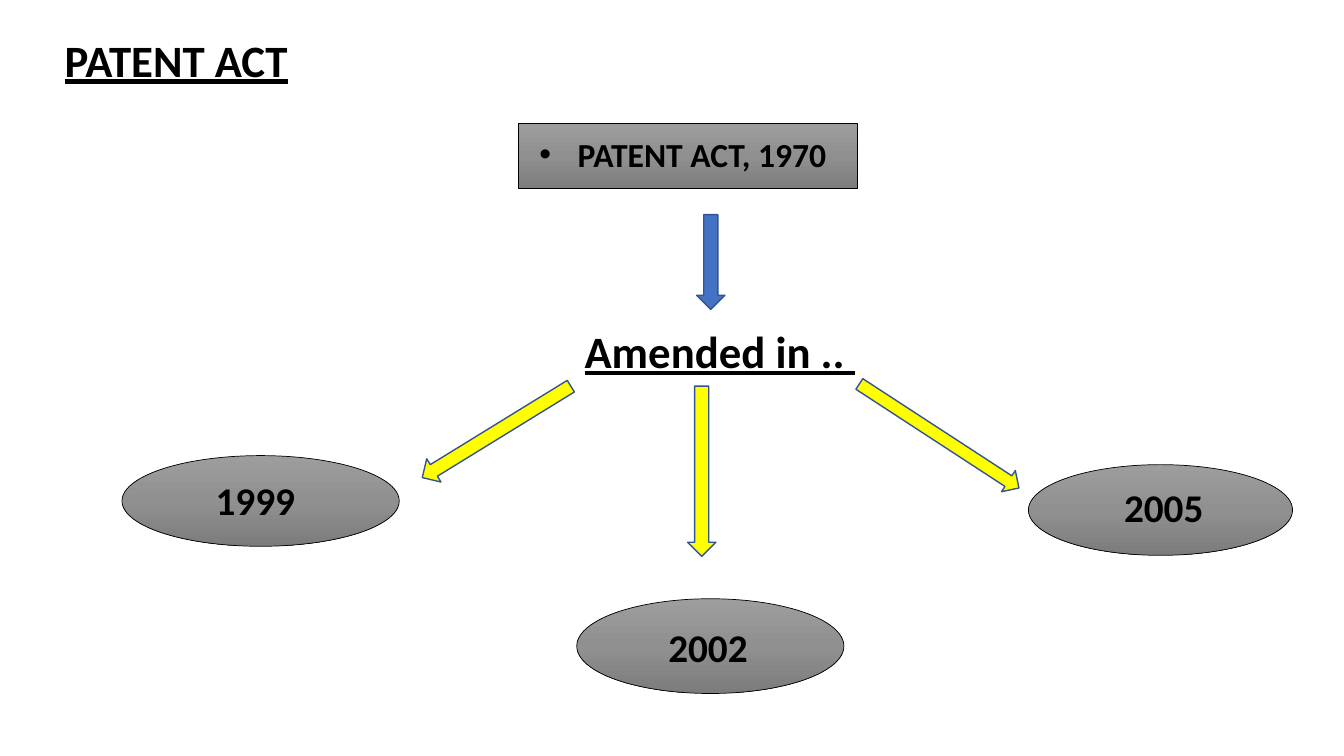
from dataclasses import dataclass

from lxml.etree import SubElement
from pptx import Presentation
from pptx.dml.color import RGBColor
from pptx.enum.shapes import MSO_SHAPE
from pptx.enum.text import MSO_ANCHOR, MSO_AUTO_SIZE, PP_ALIGN
from pptx.oxml.ns import qn
from pptx.util import Emu, Pt

EMU_PER_PX = 9144  # 100 px to the inch


@dataclass(frozen=True)
class Theme:
    font: str = "Calibri"
    ink: str = "000000"
    blue: str = "4472C4"
    yellow: str = "FFFF00"
    arrow_line: str = "325491"
    grays: tuple = (("9D9D9D", 0), ("909090", 50), ("7C7C7C", 100))
    heading_size: int = 32
    year_size: int = 28
    act_size: int = 24


THEME = Theme()


def px(length):
    return Emu(length * EMU_PER_PX)


def color(value):
    return RGBColor.from_string(value)


def write_text(shape, text, size, underline=False):
    """Put one bold, left-aligned line at the top of a shape."""
    frame = shape.text_frame
    frame.text = text
    frame.word_wrap = True
    frame.auto_size = MSO_AUTO_SIZE.NONE
    frame.vertical_anchor = MSO_ANCHOR.TOP
    paragraph = frame.paragraphs[0]
    paragraph.alignment = PP_ALIGN.LEFT
    paragraph.space_before = Pt(0)
    font = paragraph.runs[0].font
    font.name, font.size, font.bold = THEME.font, Pt(size), True
    font.underline = underline
    font.color.rgb = color(THEME.ink)
    return paragraph


def fill_placeholder(shape, box, text, size, underline=False):
    shape.left, shape.top, shape.width, shape.height = map(px, box)
    return write_text(shape, text, size, underline)


def add_label(slide, box, text, size, underline=False):
    label = slide.shapes.add_textbox(*map(px, box))
    write_text(label, text, size, underline)


def add_bullet(paragraph, indent):
    properties = paragraph._p.get_or_add_pPr()
    properties.set("marL", str(px(indent)))
    properties.set("indent", str(px(-indent)))
    SubElement(properties, qn("a:buFont"), typeface="Arial")
    SubElement(properties, qn("a:buChar"), char="•")


def add_outlined(slide, kind, box, line_color, line_width):
    shape = slide.shapes.add_shape(kind, *map(px, box))
    shape.shadow.inherit = False
    shape.line.color.rgb = color(line_color)
    shape.line.width = Pt(line_width)
    return shape


def add_gray_shape(slide, kind, box):
    shape = add_outlined(slide, kind, box, THEME.ink, 0.5)
    shape.fill.gradient()
    shape.fill.gradient_angle = 270  # top to bottom
    stops = shape.fill._fill._gradFill.find(qn("a:gsLst"))
    for stop in list(stops):
        stops.remove(stop)
    for gray, percent in THEME.grays:
        stop = SubElement(stops, qn("a:gs"), pos=str(percent * 1000))
        SubElement(stop, qn("a:srgbClr"), val=gray)
    return shape


def add_down_arrow(slide, box, fill_color, rotation=0):
    arrow = add_outlined(slide, MSO_SHAPE.DOWN_ARROW, box, THEME.arrow_line, 1)
    arrow.fill.solid()
    arrow.fill.fore_color.rgb = color(fill_color)
    arrow.rotation = rotation


def main():
    presentation = Presentation()
    presentation.slide_width, presentation.slide_height = px(1333), px(750)
    slide = presentation.slides.add_slide(presentation.slide_layouts[1])

    # Title
    fill_placeholder(slide.shapes.title, (54, 27, 1036, 65), "PATENT ACT",
                     THEME.heading_size, underline=True)

    # The act, with its text in front of the box
    act_box = add_gray_shape(slide, MSO_SHAPE.RECTANGLE, (514, 122, 336, 65))
    act = slide.placeholders[1]
    add_bullet(fill_placeholder(act, (525, 128, 336, 81), "PATENT ACT, 1970",
                                THEME.act_size), 38)
    act_box.element.addnext(act.element)

    # Amendment heading
    add_down_arrow(slide, (691, 213, 28, 94), THEME.blue)
    add_label(slide, (570, 316, 395, 64), "Amended in .. ",
              THEME.heading_size, underline=True)

    # Amendment years: ellipse, label box, arrow box, arrow rotation
    amendments = (
        ("1999", (121, 452, 275, 90), (204, 468, 115, 57), (479, 342, 27, 173), 58.4),
        ("2002", (572, 594, 265, 94), (653, 613, 177, 57), (682, 383, 28, 169), 0),
        ("2005", (1020, 461, 262, 90), (1105, 475, 161, 57), (919, 338, 25, 189), 303.1),
    )
    for year, ellipse, label, arrow, rotation in amendments:
        add_gray_shape(slide, MSO_SHAPE.OVAL, ellipse)
        add_down_arrow(slide, arrow, THEME.yellow, rotation)
        add_label(slide, label, year, THEME.year_size)

    presentation.save("out.pptx")


if __name__ == "__main__":
    main()
